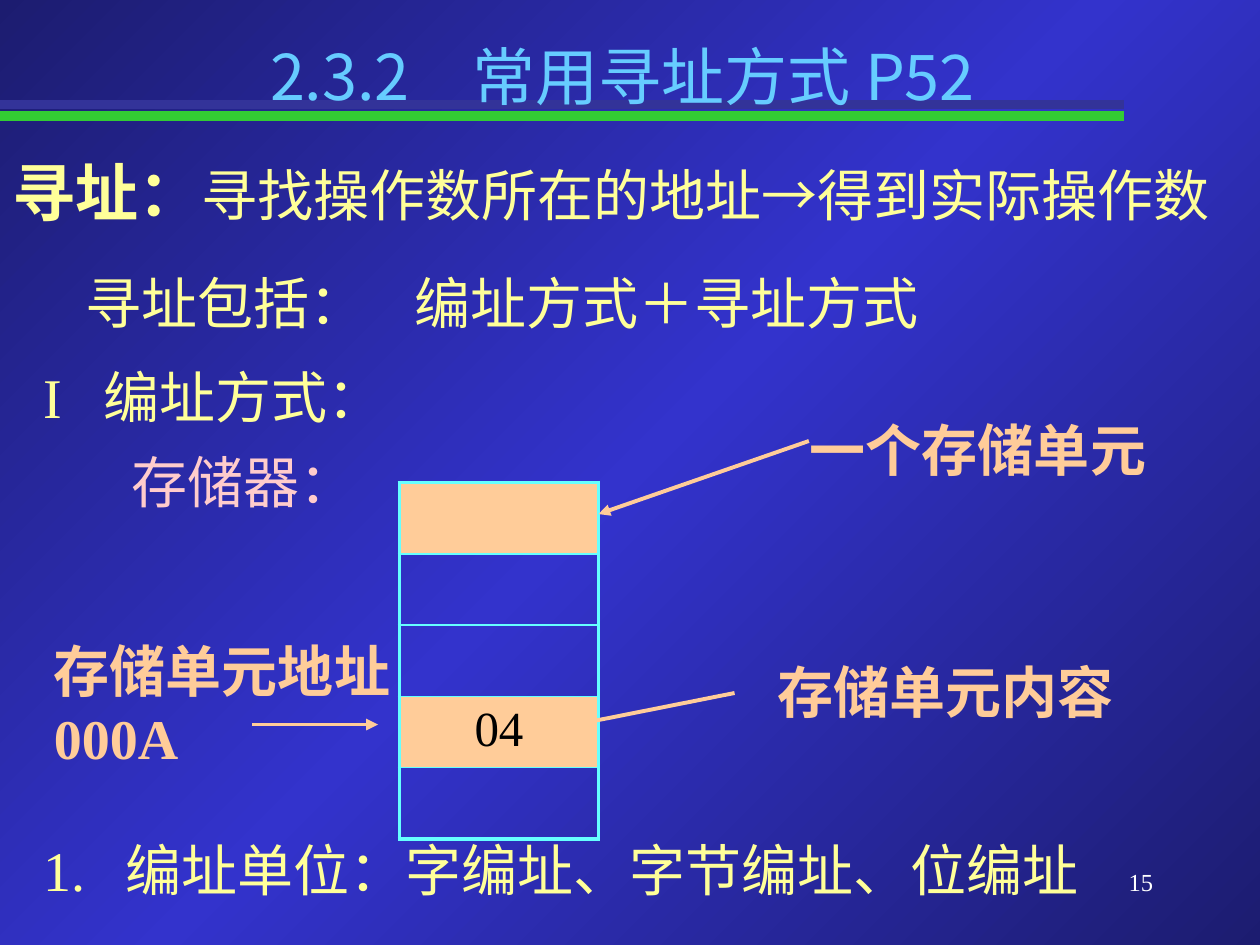
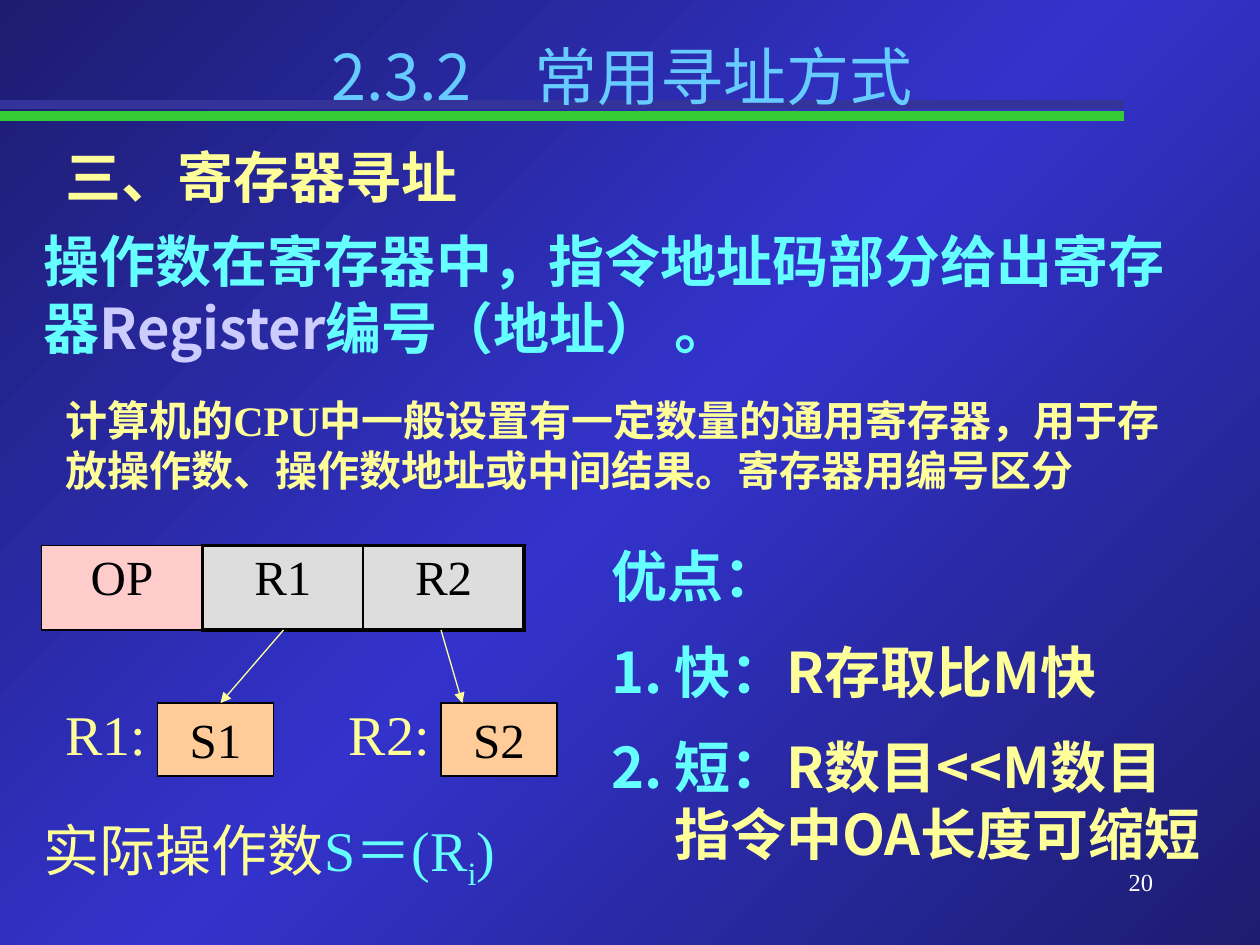
from dataclasses import dataclass

from lxml.etree import SubElement
from pptx import Presentation
from pptx.dml.color import RGBColor
from pptx.enum.shapes import MSO_CONNECTOR, MSO_SHAPE
from pptx.enum.text import MSO_ANCHOR, MSO_AUTO_SIZE, PP_ALIGN
from pptx.oxml.ns import qn
from pptx.util import Inches, Pt


@dataclass(frozen=True)
class Theme:
    serif: str = "Times New Roman"
    sans: str = "Noto Sans CJK SC"
    edge: str = "1C1C70"
    middle: str = "3333CC"
    green: str = "33CC33"
    navy: str = "333399"
    title: str = "66CCFF"
    yellow: str = "FFFF99"
    cyan: str = "66FFFF"
    peach: str = "FFCC99"
    pink: str = "FFCCCC"
    lilac: str = "CCCCFF"
    grey: str = "DDDDDD"
    black: str = "000000"
    white: str = "FFFFFF"
    heading: int = 36
    body: int = 32
    cell: int = 28
    note: int = 24
    page: int = 14
    thin: float = 0.75
    rule: float = 1
    bold_rule: float = 2.25
    band: float = 5.5


T = Theme()
LEFT, CENTER, RIGHT = PP_ALIGN.LEFT, PP_ALIGN.CENTER, PP_ALIGN.RIGHT
BANDS = [(0.92, T.green), (0.83, T.navy)]
PEACH_BOLD = dict(color=T.peach, bold=True)

# Each text: box (left, top, width, height), runs of (text, changes), format
MEMORY = dict(
    title="2.3.2　常用寻址方式 P52",
    page="15",
    texts=[
        ((0, 1.17, 10, 0.7), [("寻址：", dict(size=T.heading, bold=True)),
                              ("寻找操作数所在的地址→得到实际操作数", {})], {}),
        ((0.58, 2.08, 9.42, 0.63), "寻址包括：\t编址方式＋寻址方式", dict(tab=2.61)),
        ((0.25, 2.83, 6, 0.63), "I\t编址方式：", dict(tab=0.47)),
        ((0.42, 3.5, 2.5, 0.63), "存储器：", dict(color=T.pink, align=RIGHT)),
        ((6.33, 3.25, 3.33, 0.63), "一个存储单元", PEACH_BOLD),
        ((0.33, 5, 3, 1.17), "存储单元地址\n000A", PEACH_BOLD),
        ((5.92, 5.17, 3.17, 0.63), "存储单元内容", dict(PEACH_BOLD, align=CENTER)),
        ((0.25, 6.58, 9, 0.63), "1.\t编址单位：字编址、字节编址、位编址", dict(tab=0.65)),
    ],
    table=dict(
        box=(3.17, 3.83, 1.58, 2.83),
        rows=[[("", T.peach)], [("", None)], [("", None)], [("04", T.peach)], [("", None)]],
    ),
    lines=[((6.42, 3.5), (4.75, 4.08), True),
           ((2, 5.75), (3, 5.75), True),
           ((4.17, 5.83), (5.83, 5.5), False)],
)

REGISTER = dict(
    title="2.3.2　常用寻址方式",
    page="20",
    texts=[
        ((0.42, 1.08, 7.75, 0.63), "三、寄存器寻址", dict(bold=True)),
        ((0.25, 1.75, 9.5, 1.17), [("操作数在寄存器中，指令地址码部分给出寄存器", {}),
                                   ("Register", dict(color=T.lilac)),
                                   ("编号（地址） 。", {})],
         dict(color=T.cyan, font=T.sans, bold=True)),
        ((0.42, 3.08, 8.92, 0.9),
         "计算机的CPU中一般设置有一定数量的通用寄存器，用于存放操作数、"
         "操作数地址或中间结果。寄存器用编号区分", dict(size=T.note, bold=True)),
        ((0.25, 6.42, 4.92, 0.63), [("实际操作数", dict(color=T.yellow)), ("S＝(R", {}),
                                    ("i", dict(sub=True)), (")", {})],
         dict(color=T.cyan)),
    ],
    table=dict(
        box=(0.33, 4.33, 3.83, 0.67),
        rows=[[("OP", T.pink), ("R1", T.grey), ("R2", T.grey)]],
    ),
    lines=[((2.25, 5), (1.75, 5.58), True), ((3.5, 5), (3.67, 5.58), True)],
    registers=[("R1:", "S1"), ("R2:", "S2")],
    list_box=(4.75, 4.25, 5.25, 2.77),
    list=[[("优点：", {})],
          [("快：", {}), ("R存取比M快", dict(color=T.yellow))],
          [("短：", {}), ("R数目<<M数目\n指令中OA长度可缩短", dict(color=T.yellow))]],
)


def rgb(value):
    return RGBColor.from_string(value)


def inches(values):
    return [Inches(v) for v in values]


def write(p, runs, *, size=T.body, color=T.yellow, font=T.serif, bold=False,
          align=LEFT, tab=None, sub=False):
    """Fill a paragraph with a string or with (text, format changes) runs."""
    p.alignment = align
    if tab:
        tabs = SubElement(p._p.get_or_add_pPr(), qn("a:tabLst"))
        SubElement(tabs, qn("a:tab"), pos=str(Inches(tab)), algn="l")
    base = dict(size=size, color=color, font=font, bold=bold, sub=sub)
    for text, changes in [(runs, {})] if isinstance(runs, str) else runs:
        look = {**base, **changes}
        for i, line in enumerate(text.split("\n")):
            if i:
                p.add_line_break()
            r = p.add_run()
            r.text = line
            r.font.size, r.font.name, r.font.bold = Pt(look["size"]), look["font"], look["bold"]
            r.font.color.rgb = rgb(look["color"])
            if look["sub"]:
                r.font._element.set("baseline", "-25000")


def place(sp, box):
    """Set a shape's box and make its text wrap from the top."""
    sp.left, sp.top, sp.width, sp.height = inches(box)
    tf = sp.text_frame
    tf.word_wrap, tf.auto_size = True, MSO_AUTO_SIZE.NONE
    tf.vertical_anchor = MSO_ANCHOR.TOP
    return tf


def add_text(slide, box, runs, **look):
    tf = place(slide.shapes.add_textbox(*inches(box)), box)
    write(tf.paragraphs[0], runs, **look)


def add_line(slide, start, end, color, width, arrow=False):
    line = slide.shapes.add_connector(MSO_CONNECTOR.STRAIGHT, *inches(start + end))
    line.line.color.rgb, line.line.width = rgb(color), Pt(width)
    if arrow:
        SubElement(line.line._get_or_add_ln(), qn("a:tailEnd"), type="triangle")
    SubElement(line._element.spPr, qn("a:effectLst"))


def set_borders(cell, color, widths):
    tc_pr = cell._tc.get_or_add_tcPr()
    for i, (side, width) in enumerate(zip("LRTB", widths)):
        ln = SubElement(tc_pr, qn(f"a:ln{side}"), w=str(Pt(width)))
        SubElement(SubElement(ln, qn("a:solidFill")), qn("a:srgbClr"), val=color)
        tc_pr.insert(i, ln)


def add_grid(slide, box, rows, color, widths):
    """Add an even table; widths(row, column) gives left, right, top, bottom."""
    n_rows, n_cols = len(rows), len(rows[0])
    table = slide.shapes.add_table(n_rows, n_cols, *inches(box)).table
    table.first_row = table.horz_banding = False
    for row in table.rows:
        row.height = Inches(box[3] / n_rows)
    for r, row in enumerate(rows):
        for c, (text, fill) in enumerate(row):
            cell = table.cell(r, c)
            if fill:
                cell.fill.solid()
                cell.fill.fore_color.rgb = rgb(fill)
            else:
                cell.fill.background()
            if text:
                write(cell.text_frame.paragraphs[0], text, size=T.cell,
                      color=T.black, align=CENTER)
            set_borders(cell, color, widths(r, c))


def memory_borders(r, c):
    last = len(MEMORY["table"]["rows"]) - 1
    return (T.bold_rule, T.bold_rule, T.rule if r else T.bold_rule,
            T.bold_rule if r == last else T.rule)


def register_borders(r, c):
    edge = T.bold_rule if c else T.rule
    return (T.bold_rule if c == 1 else T.rule,
            (T.bold_rule, T.rule, T.bold_rule)[c] if c else T.bold_rule, edge, edge)


def add_register(slide, left, label, value):
    add_text(slide, (left, 5.5, 1, 0.63), label)
    box = (left + 0.83, 5.58, 0.92, 0.58)
    sp = slide.shapes.add_shape(MSO_SHAPE.RECTANGLE, *inches(box))
    sp.shadow.inherit = False
    sp.fill.solid()
    sp.fill.fore_color.rgb = rgb(T.peach)
    sp.line.color.rgb, sp.line.width = rgb(T.black), Pt(T.thin)
    write(place(sp, box).paragraphs[0], value, size=T.cell, color=T.black, align=CENTER)


def add_advantages(slide, box, items):
    """Fill the body placeholder: an unnumbered heading, then numbered items."""
    tf = place(slide.placeholders[1], box)
    for i, runs in enumerate(items):
        p = tf.add_paragraph() if i else tf.paragraphs[0]
        p.space_before = Pt(T.body / 2 if i else 0)
        p_pr = p._p.get_or_add_pPr()
        p_pr.set("marL", str(Inches(0.5)))
        p_pr.set("indent", str(-Inches(0.5)))
        if i:
            SubElement(p_pr, qn("a:buFont"), typeface=T.sans)
            SubElement(p_pr, qn("a:buAutoNum"), type="arabicPeriod")
        else:
            SubElement(p_pr, qn("a:buNone"))
        write(p, runs, color=T.cyan, font=T.sans, bold=True)


def paint_background(master):
    fill = master.background.fill
    fill.gradient()
    fill.gradient_angle = 315
    stops = master.element.find(".//" + qn("a:gsLst"))
    for stop in list(stops):
        stops.remove(stop)
    for pos, color in [(0, T.edge), (50, T.middle), (100, T.edge)]:
        stop = SubElement(stops, qn("a:gs"), pos=str(pos * 1000))
        SubElement(stop, qn("a:srgbClr"), val=color)


def add_slide(prs, layout, content):
    """Add a slide with bands, title, page number and its texts."""
    slide = prs.slides.add_slide(prs.slide_layouts[layout])
    for y, color in BANDS:
        add_line(slide, (0, y), (8.92, y), color, T.band)
    title = slide.shapes.title
    slide.shapes._spTree.append(title._element)
    write(place(title, (1.58, 0.25, 6.72, 0.7)).paragraphs[0], content["title"],
          size=T.heading, color=T.title, font=T.sans, align=CENTER)
    add_text(slide, (7.17, 6.83, 2.08, 0.5), content["page"],
             size=T.page, color=T.white, align=RIGHT)
    for box, runs, look in content["texts"]:
        add_text(slide, box, runs, **look)
    return slide


def add_arrows(slide, lines, color, width):
    for start, end, arrow in lines:
        add_line(slide, start, end, color, width, arrow)


def main():
    prs = Presentation()
    prs.slide_width, prs.slide_height = Inches(10), Inches(7.5)
    paint_background(prs.slide_master)

    slide = add_slide(prs, 5, MEMORY)
    add_grid(slide, **MEMORY["table"], color=T.cyan, widths=memory_borders)
    add_arrows(slide, MEMORY["lines"], T.peach, T.bold_rule)

    slide = add_slide(prs, 1, REGISTER)
    add_grid(slide, **REGISTER["table"], color=T.black, widths=register_borders)
    for i, (label, value) in enumerate(REGISTER["registers"]):
        add_register(slide, 0.42 + 2.25 * i, label, value)
    add_arrows(slide, REGISTER["lines"], T.yellow, T.thin)
    add_advantages(slide, REGISTER["list_box"], REGISTER["list"])

    prs.save("out.pptx")


if __name__ == "__main__":
    main()
